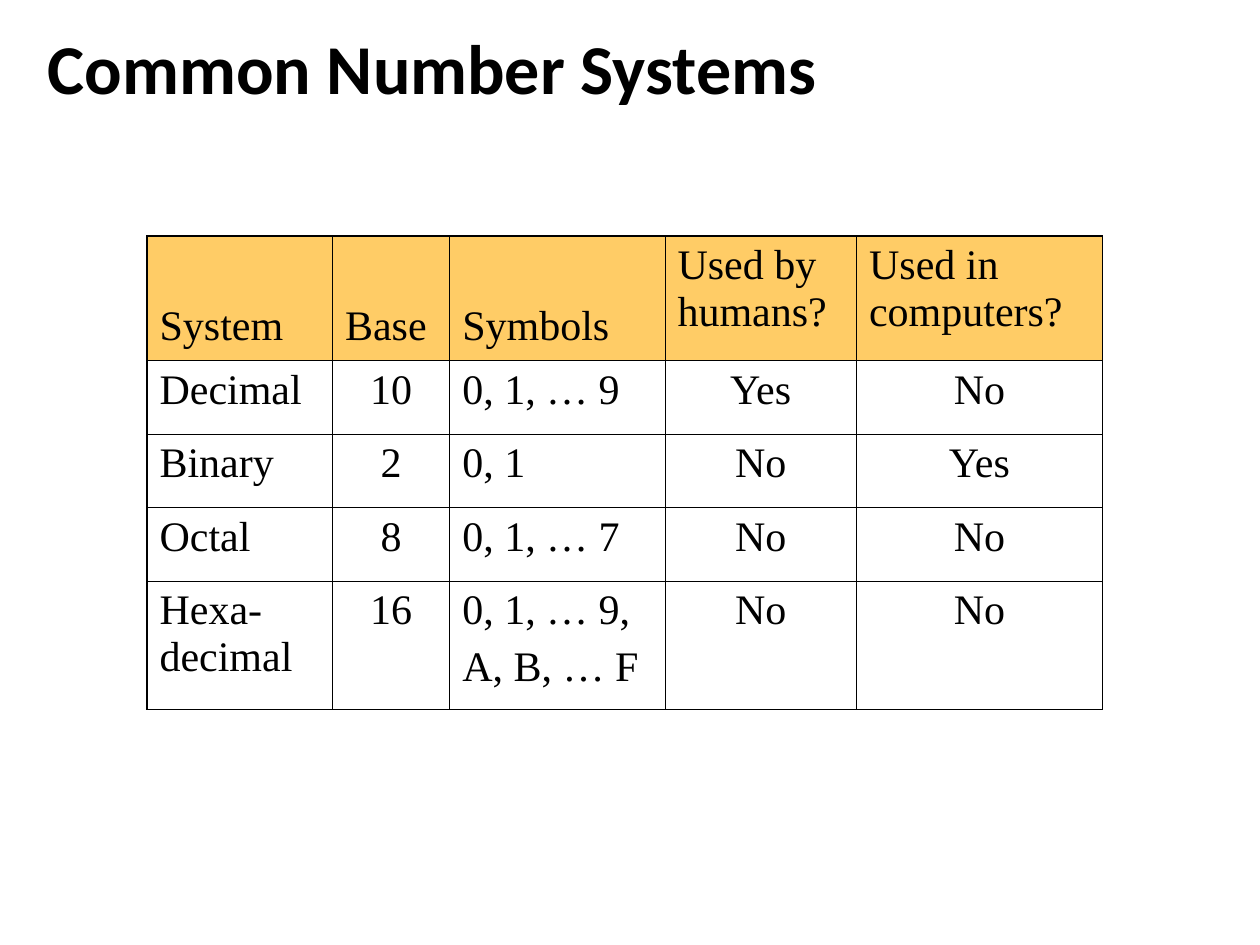
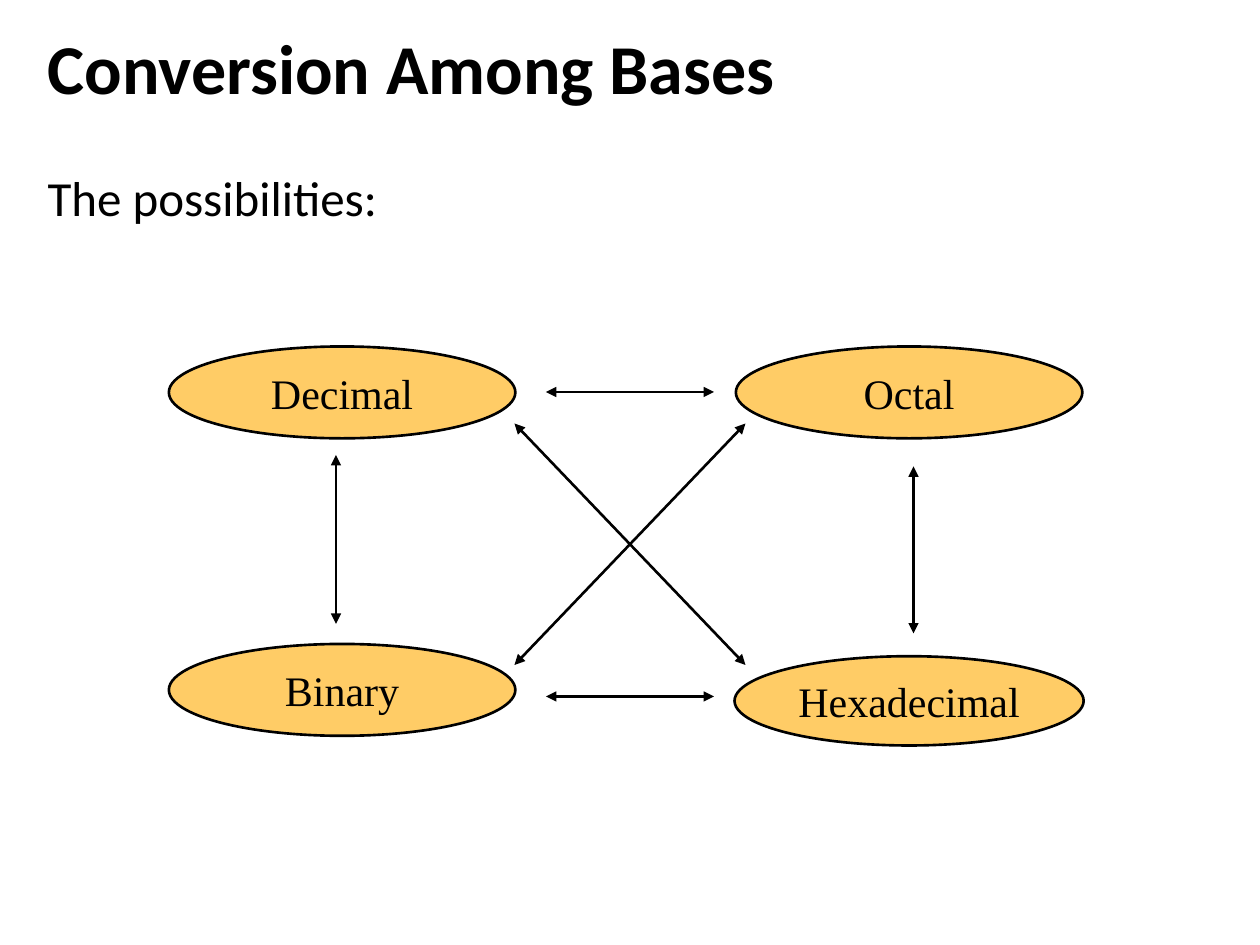
"""Build two slides on number systems and the conversions among their bases."""
from lxml.etree import SubElement
from pptx import Presentation
from pptx.dml.color import RGBColor
from pptx.enum.shapes import MSO_CONNECTOR as Connector, MSO_SHAPE as Shape
from pptx.enum.text import MSO_ANCHOR as Anchor, PP_ALIGN as Align
from pptx.oxml.ns import qn
from pptx.util import Pt

BLACK = RGBColor(0x00, 0x00, 0x00)
GOLD = RGBColor(0xFF, 0xCC, 0x66)
TITLE_FONT = {"name": "Calibri", "size": Pt(40), "bold": True}
BULLET_FONT = {"name": "Calibri", "size": Pt(28)}
LABEL_FONT = {"name": "Times New Roman", "size": Pt(24)}


def write_text(text_frame, text, font_format, **paragraph_format):
    """Fill a text frame and format its paragraphs and runs."""
    text_frame.text = text
    for paragraph in text_frame.paragraphs:
        for name, value in paragraph_format.items():
            setattr(paragraph, name, value)
        for run in paragraph.runs:
            for name, value in font_format.items():
                setattr(run.font, name, value)
            run.font.color.rgb = BLACK


def add_text_box(slide, top, height, anchor):
    """Add a wrapping text box in the shared column."""
    box = slide.shapes.add_textbox(Pt(20.16), Pt(top), Pt(673.2), Pt(height))
    box.text_frame.word_wrap = True
    box.text_frame.vertical_anchor = anchor
    return box.text_frame


presentation = Presentation()
presentation.slide_width, presentation.slide_height = Pt(720), Pt(540)

slides = []
for title in ["Common Number Systems", "Conversion Among Bases"]:
    slide = presentation.slides.add_slide(presentation.slide_layouts[6])
    title_frame = add_text_box(slide, 0, 82, Anchor.MIDDLE)
    write_text(title_frame, title, TITLE_FONT, line_spacing=0.9)
    slides.append(slide)
systems_slide, conversion_slide = slides

SYSTEMS = [
    ["System", "Base", "Symbols", "Used by humans?", "Used in computers?"],
    ["Decimal", "10", "0, 1, … 9", "Yes", "No"],
    ["Binary", "2", "0, 1", "No", "Yes"],
    ["Octal", "8", "0, 1, … 7", "No", "No"],
    ["Hexa-\vdecimal", "16", "0, 1, … 9,\nA, B, … F", "No", "No"],
]
COLUMN_WIDTHS = [106, 67, 123, 109.5, 140.5]
ROW_HEIGHTS = [71, 42, 42, 42, 73.5]
CENTERED_COLUMNS = {1, 3, 4}
LAST_ROW, LAST_COLUMN = len(ROW_HEIGHTS) - 1, len(COLUMN_WIDTHS) - 1

table = systems_slide.shapes.add_table(
    len(ROW_HEIGHTS), len(COLUMN_WIDTHS), Pt(84), Pt(135),
    Pt(sum(COLUMN_WIDTHS)), Pt(sum(ROW_HEIGHTS))).table
table.first_row = table.horz_banding = False
for column, width in zip(table.columns, COLUMN_WIDTHS):
    column.width = Pt(width)
for row, height in zip(table.rows, ROW_HEIGHTS):
    row.height = Pt(height)

for row_index, texts in enumerate(SYSTEMS):
    for column_index, text in enumerate(texts):
        cell = table.cell(row_index, column_index)
        is_header = row_index == 0
        centered = not is_header and column_index in CENTERED_COLUMNS
        write_text(cell.text_frame, text, LABEL_FONT,
                   alignment=Align.CENTER if centered else Align.LEFT)
        for paragraph in cell.text_frame.paragraphs[1:]:
            paragraph.space_before = Pt(6)
        outer_edges = {"lnL": column_index == 0, "lnR": column_index == LAST_COLUMN,
                       "lnT": is_header, "lnB": row_index == LAST_ROW}
        properties = cell._tc.get_or_add_tcPr()
        for edge, is_outer in outer_edges.items():
            border = SubElement(properties, qn(f"a:{edge}"), w=str(Pt(1.08 if is_outer else 0.45)))
            border_fill = SubElement(border, qn("a:solidFill"))
            SubElement(border_fill, qn("a:srgbClr"), val=str(BLACK))
        if is_header:
            cell.fill.solid()
            cell.fill.fore_color.rgb = GOLD
        else:
            cell.fill.background()
        if is_header and column_index < 3:
            cell.vertical_anchor = Anchor.BOTTOM
            cell.margin_bottom = Pt(6.5)

bullet_frame = add_text_box(conversion_slide, 95.76, 390, Anchor.TOP)
bullet_properties = bullet_frame.paragraphs[0]._p.get_or_add_pPr()
bullet_properties.set("marL", str(Pt(18)))
bullet_properties.set("indent", str(Pt(-18)))
SubElement(bullet_properties, qn("a:buFont"), typeface="Arial")
SubElement(bullet_properties, qn("a:buChar"), char="•")
write_text(bullet_frame, "The possibilities:", BULLET_FONT, line_spacing=0.9)

BASES = [
    ("Hexadecimal", 419.75, 375, 199.5, 51),
    ("Decimal", 96.5, 198, 198, 52.5),
    ("Octal", 420.5, 198, 198, 52.5),
    ("Binary", 96.5, 368, 198, 52.5),
]
for name, *bounds in BASES:
    ellipse = conversion_slide.shapes.add_shape(Shape.OVAL, *map(Pt, bounds))
    ellipse.shadow.inherit = False
    ellipse.fill.solid()
    ellipse.fill.fore_color.rgb = GOLD
    ellipse.line.color.rgb = BLACK
    ellipse.line.width = Pt(1.5)
    ellipse.text_frame.word_wrap = False
    ellipse.text_frame.vertical_anchor = Anchor.MIDDLE
    write_text(ellipse.text_frame, name, LABEL_FONT, alignment=Align.CENTER)

CONVERSIONS = [
    (294, 380, 426, 242),
    (426, 380, 294, 242),
    (522, 362, 522, 266.5),
    (192, 356.5, 192, 260),
    (312, 224, 408, 224),
    (312, 398, 408, 398),
]
for ends in CONVERSIONS:
    arrow = conversion_slide.shapes.add_connector(Connector.STRAIGHT, *map(Pt, ends))
    arrow.line.color.rgb = BLACK
    arrow.line.width = Pt(1.5)
    for arrowhead in ["headEnd", "tailEnd"]:
        SubElement(arrow.line._get_or_add_ln(), qn(f"a:{arrowhead}"), type="triangle")
    SubElement(arrow._element.spPr, qn("a:effectLst"))

presentation.save("out.pptx")
